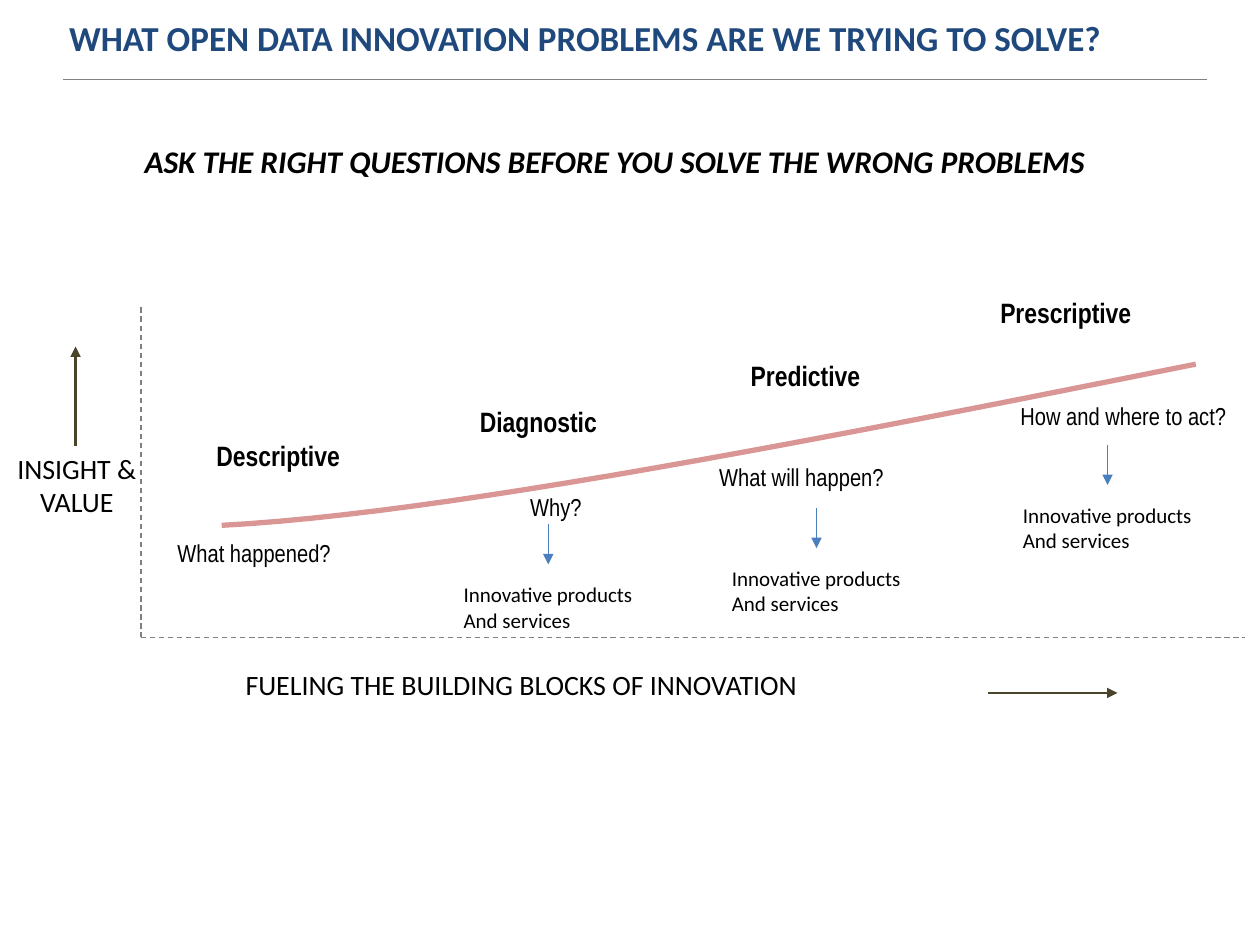
from lxml import etree
from pptx import Presentation
from pptx.dml.color import RGBColor
from pptx.enum.dml import MSO_LINE
from pptx.enum.shapes import MSO_CONNECTOR
from pptx.enum.text import PP_ALIGN
from pptx.oxml.ns import qn
from pptx.util import Pt

STRAIGHT = MSO_CONNECTOR.STRAIGHT
DASH = MSO_LINE.DASH
LEFT, CENTER = PP_ALIGN.LEFT, PP_ALIGN.CENTER
BLACK = RGBColor(0x00, 0x00, 0x00)
NAVY = RGBColor(0x1F, 0x49, 0x7D)
BLUE = RGBColor(0x4B, 0x7E, 0xBC)
OLIVE = RGBColor(0x4A, 0x45, 0x2A)
GRAY = RGBColor(0x80, 0x80, 0x80)
ROSE = RGBColor(0xD9, 0x96, 0x94)
BODY, NARROW = "Calibri", "Arial Narrow"

STAGES = [
    ("Descriptive", 36, 71.3, "What happened?", (-22.3, 56.8), None),
    ("Diagnostic", 186.5, 51.8, "Why?", (28.8, 50.4), (-9.3, 101.5)),
    ("Predictive", 341.3, 25.9, "What will happen?", (-18, 59), (-10.8, 118.1)),
    ("Prescriptive", 483.9, -10.1, "How and where to act?", (11.5, 59.8), (12.9, 118.1)),
]


def add_text(s, text, x, y, w, h, size, font=BODY, color=BLACK, bold=False,
             italic=False, align=LEFT, wrap=True):
    """Place a text box with one format for all its paragraphs."""
    tf = s.shapes.add_textbox(Pt(x), Pt(y), Pt(w), Pt(h)).text_frame
    tf.word_wrap = wrap
    tf.text = text
    for p in tf.paragraphs:
        p.alignment = align
        for r in p.runs:
            r.font.name, r.font.size = font, Pt(size)
            r.font.bold, r.font.italic = bold, italic
            r.font.color.rgb = color


def add_line(s, x1, y1, x2, y2, color, width=0.75, dash=None, arrow=False):
    """Draw a straight line, dashed or with an arrowhead at its end."""
    c = s.shapes.add_connector(STRAIGHT, Pt(x1), Pt(y1), Pt(x2), Pt(y2))
    c.line.color.rgb, c.line.width = color, Pt(width)
    if dash:
        c.line.dash_style = dash
    if arrow:
        etree.SubElement(c.line._get_or_add_ln(), qn("a:tailEnd"), type="triangle")
    etree.SubElement(c._element.spPr, qn("a:effectLst"))


def add_header(s, x, y, w):
    """Place the slide title, its rule and the motto."""
    add_line(s, x, y + 39.6, x + w, y + 39.6, GRAY)
    add_text(s, "WHAT OPEN DATA INNOVATION PROBLEMS ARE WE TRYING TO SOLVE?",
             x - 3.6, y, 609, 31.5, 20, color=NAVY, bold=True, wrap=False)
    add_text(s, "ASK THE RIGHT QUESTIONS BEFORE YOU SOLVE THE WRONG PROBLEMS",
             x - 44.6, y + 72, 720, 29, 18, bold=True, italic=True, align=CENTER)


def add_axes(s, x, y, w, h):
    """Draw both dashed axes with their captions and arrows."""
    add_line(s, x, y, x, y + h, GRAY, dash=DASH)
    add_line(s, x, y + h, x + w, y + h, GRAY, dash=DASH)
    add_text(s, "INSIGHT &\nVALUE", x - 84.2, y + 78.5, 95, 46, 16, align=CENTER)
    add_line(s, x - 37.4, y + 79.2, x - 37.4, y + 22.3, OLIVE, 1.5, arrow=True)
    add_text(s, "FUELING THE BUILDING BLOCKS OF INNOVATION",
             x + 52.6, y + h + 13.7, 425, 26.6, 16)
    add_line(s, x + 484, y + h + 31.7, x + 558, y + h + 31.7, OLIVE, 1.5, arrow=True)


def add_curve(s, x, y, steps=24):
    """Draw the rising value curve from its Bezier control points."""
    controls = [(46.1, 124.5), (171.4, 118.1), (387.4, 75.6), (602.7, 32.4)]
    points = []
    for i in range(steps + 1):
        t = i / steps
        weights = ((1 - t) ** 3, 3 * t * (1 - t) ** 2, 3 * t * t * (1 - t), t ** 3)
        px, py = (sum(k * c[axis] for k, c in zip(weights, controls)) for axis in (0, 1))
        points.append((Pt(x + px), Pt(y + py)))
    builder = s.shapes.build_freeform(*points[0])
    builder.add_line_segments(points[1:], close=False)
    sp = builder.convert_to_shape()
    sp.shadow.inherit = False
    sp.fill.background()
    sp.line.color.rgb, sp.line.width = ROSE, Pt(3)


def add_stage(s, x, y, name, question, question_at, outcome_at):
    """Place one analytics stage with its question and its outcome."""
    add_text(s, name, x, y, 137, 26.6, 16, NARROW, bold=True)
    add_text(s, question, x + question_at[0], y + question_at[1], 160, 24.5, 14, NARROW)
    if outcome_at:
        ox, oy = x + outcome_at[0], y + outcome_at[1]
        add_line(s, ox + 55.5, oy - 29.5, ox + 55.5, oy - 6.5, BLUE, arrow=True)
        add_text(s, "Innovative products\nAnd services", ox, oy, 111.6, 36, 12, wrap=False)


def build():
    """Build the slide and save it."""
    prs = Presentation()
    prs.slide_width, prs.slide_height = Pt(720), Pt(540)
    s = prs.slides.add_slide(prs.slide_layouts[6])
    add_header(s, 36, 5.8, 654)
    left, top = 80.6, 175.7
    add_axes(s, left, top, 630.7, 188.6)
    add_curve(s, left, top)
    for name, dx, dy, question, question_at, outcome_at in STAGES:
        add_stage(s, left + dx, top + dy, name, question, question_at, outcome_at)
    prs.save("out.pptx")


build()
